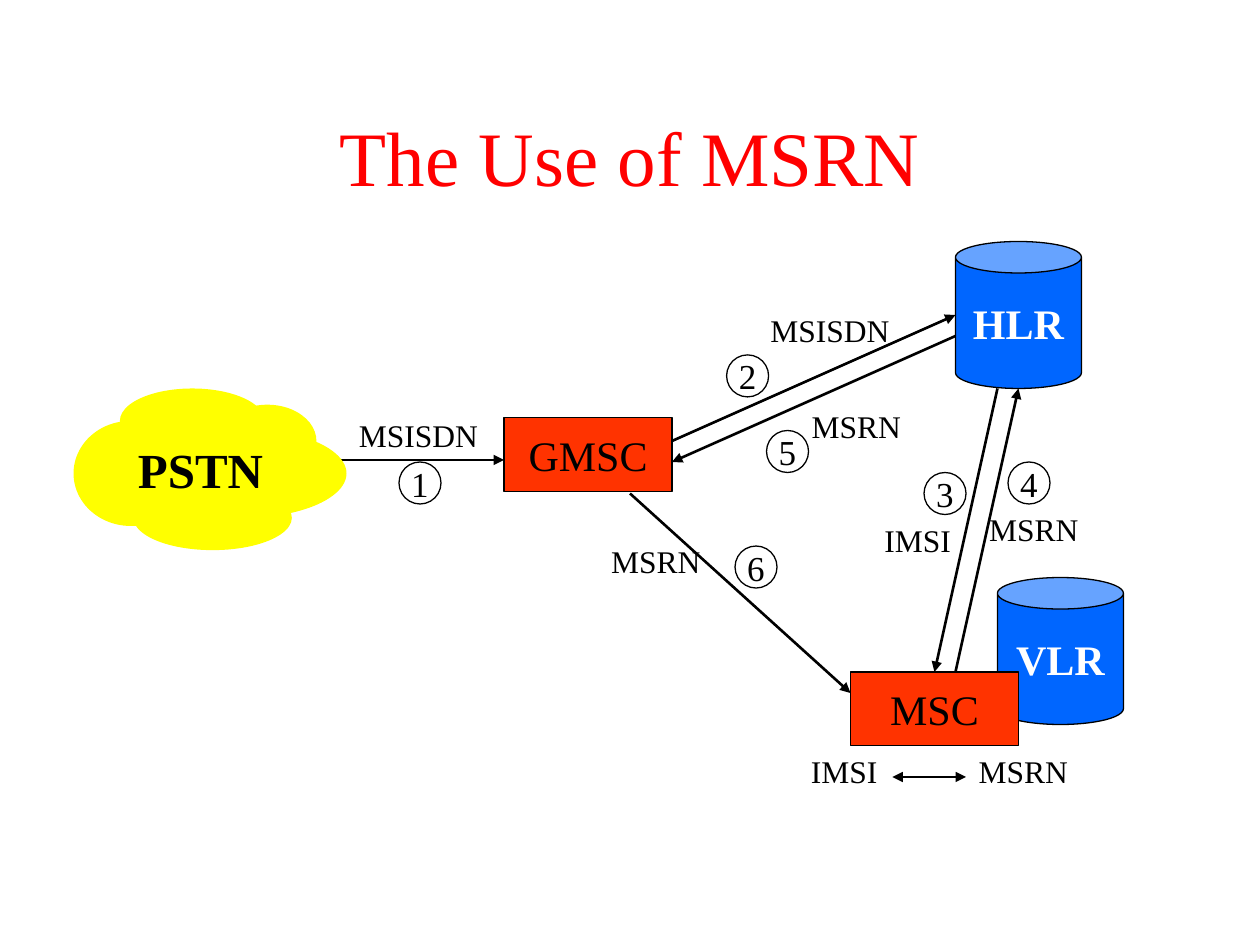
from pptx import Presentation
from pptx.dml.color import RGBColor
from pptx.enum.shapes import MSO_CONNECTOR, MSO_SHAPE as Preset
from pptx.enum.text import MSO_ANCHOR, MSO_AUTO_SIZE, PP_ALIGN
from pptx.oxml.ns import qn
from pptx.util import Inches, Pt
from lxml.etree import SubElement

FONT = "Times New Roman"
BLACK = RGBColor(0, 0, 0)
WHITE = RGBColor(255, 255, 255)
TITLE_RED = RGBColor(255, 0, 0)
SWITCH_RED = RGBColor(255, 51, 0)
REGISTER_BLUE = RGBColor(0, 102, 255)
CLOUD_YELLOW = RGBColor(255, 255, 0)

COLUMNS, ROWS = 120, 90
GRID = Inches(10) / COLUMNS
LABEL_WIDTHS = {"MSISDN": 13.7, "MSRN": 10.9, "IMSI": 8.8}
LABEL_HEIGHT = 4.8
BADGE_SIZE = 4

REGISTERS = [("HLR", (91, 23, 12, 14)), ("VLR", (95, 55, 12, 14))]
SWITCHES = [("GMSC", (48, 39.8, 16, 7)), ("MSC", (81, 64, 16, 7))]

FLOWS = [
    ("MSISDN", (32, 43.8), (48, 43.8), (33, 39), (38, 44)),
    ("MSISDN", (64, 42), (91, 30), (72.2, 29), (69.2, 33.8)),
    ("IMSI", (95, 37), (89, 64), (83, 49), (88, 45)),
    ("MSRN", (91, 64), (97, 37), (93, 48), (96, 44)),
    ("MSRN", (91, 32), (64, 44), (76.1, 38.2), (73, 41)),
    ("MSRN", (60, 47), (81, 66), (57, 51), (70, 52)),
]

CLOUD_PUFFS = [
    (0.17, 0, 0.53, 0.40),
    (0, 0.20, 0.42, 0.65),
    (0.22, 0.60, 0.58, 0.40),
    (0.25, 0.25, 0.75, 0.55),
    (0.53, 0.10, 0.36, 0.45),
    (0.08, 0.10, 0.81, 0.80),
]


def on_grid(*cells):
    return [round(cell * GRID) for cell in cells]


def within(box, shares):
    left, top, width, height = box
    x, y, w, h = shares
    return left + x * width, top + y * height, w * width, h * height


def write(shape, text, size, color, bold=False, wrap=False):
    frame = shape.text_frame
    frame.word_wrap = wrap
    frame.vertical_anchor = MSO_ANCHOR.MIDDLE
    paragraph = frame.paragraphs[0]
    paragraph.alignment = PP_ALIGN.CENTER
    run = paragraph.add_run()
    run.text = text
    run.font.name = FONT
    run.font.size = Pt(size)
    run.font.bold = bold
    run.font.color.rgb = color
    return paragraph


def add_filled(shapes, preset, box, fill, outlined=True):
    shape = shapes.add_shape(preset, *on_grid(*box))
    shape.shadow.inherit = False
    shape.fill.solid()
    shape.fill.fore_color.rgb = fill
    if outlined:
        shape.line.color.rgb = BLACK
        shape.line.width = Pt(0.75)
    else:
        shape.line.fill.background()
    return shape


def add_label(slide, text, left, top):
    box = on_grid(left, top, LABEL_WIDTHS[text], LABEL_HEIGHT)
    label = slide.shapes.add_textbox(*box)
    write(label, text, 18, BLACK)
    label.text_frame.auto_size = MSO_AUTO_SIZE.SHAPE_TO_FIT_TEXT


def add_arrow(slide, start, end, width=1.5, ends=("tailEnd",)):
    arrow = slide.shapes.add_connector(MSO_CONNECTOR.STRAIGHT, *on_grid(*start, *end))
    arrow.line.color.rgb = BLACK
    arrow.line.width = Pt(width)
    line = arrow.line._get_or_add_ln()
    for name in ends:
        SubElement(line, qn("a:" + name), type="triangle")
    SubElement(arrow._element.spPr, qn("a:effectLst"))


def add_title(slide, box):
    title = slide.shapes.title
    title.left, title.top, title.width, title.height = on_grid(*box)
    paragraph = write(title, "The Use of MSRN", 44, TITLE_RED, wrap=True)
    paragraph.line_spacing = 0.85


def add_nodes(slide):
    for name, box in REGISTERS:
        register = add_filled(slide.shapes, Preset.CAN, box, REGISTER_BLUE)
        write(register, name, 24, WHITE, bold=True)
    for name, box in SWITCHES:
        switch = add_filled(slide.shapes, Preset.RECTANGLE, box, SWITCH_RED)
        write(switch, name, 24, BLACK)


def add_flows(slide):
    for step, (message, start, end, label_at, badge_at) in enumerate(FLOWS, 1):
        add_arrow(slide, start, end)
        add_label(slide, message, *label_at)
        badge_box = (*badge_at, BADGE_SIZE, BADGE_SIZE)
        badge = add_filled(slide.shapes, Preset.OVAL, badge_box, WHITE)
        write(badge, str(step), 20, BLACK)


def add_mapping(slide, left, top):
    add_label(slide, "IMSI", left, top)
    add_arrow(slide, (left + 9, top + 3), (left + 16, top + 3), 0.75, ("headEnd", "tailEnd"))
    add_label(slide, "MSRN", left + 16, top)


def add_cloud(slide, box):
    cloud = slide.shapes.add_group_shape()
    for shares in CLOUD_PUFFS:
        add_filled(cloud.shapes, Preset.OVAL, within(box, shares), CLOUD_YELLOW, outlined=False)
    caption_box = within(box, (0.19, 0.27, 0.55, 0.45))
    caption = slide.shapes.add_textbox(*on_grid(*caption_box))
    write(caption, "PSTN", 28, BLACK, bold=True)


def main():
    presentation = Presentation()
    presentation.slide_width, presentation.slide_height = on_grid(COLUMNS, ROWS)
    slide = presentation.slides.add_slide(presentation.slide_layouts[5])
    add_title(slide, (9, 8, 102, 15))
    add_nodes(slide)
    add_flows(slide)
    add_mapping(slide, 76, 71)
    add_cloud(slide, (7, 37, 26, 15.4))
    presentation.save("out.pptx")


if __name__ == "__main__":
    main()
